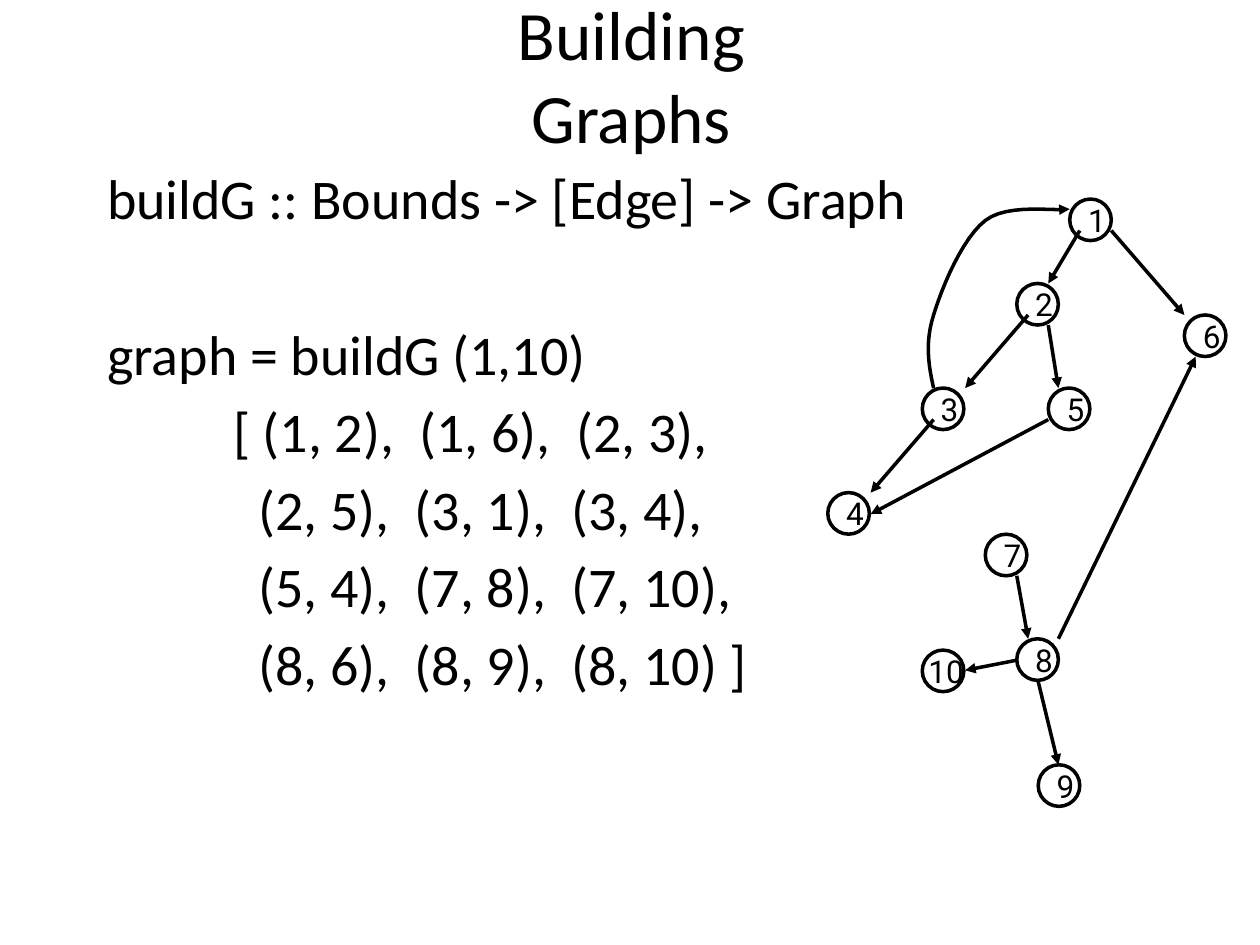
from pptx import Presentation
from pptx import util as u
from pptx.dml.color import RGBColor
from pptx.enum import shapes, text
from pptx.oxml.ns import qn
from lxml import etree

BLACK = RGBColor(0, 0, 0)
DIAMETER = 0.33
CURVE_STEPS = 12


def style_font(paragraph, name, size):
    for run in paragraph.runs:
        run.font.name = name
        run.font.size = u.Pt(size)
        run.font.color.rgb = BLACK


def style_arrow(edge):
    edge.line.color.rgb = BLACK
    edge.line.width = u.Pt(2)
    etree.SubElement(edge.line._get_or_add_ln(), qn("a:tailEnd"), type="triangle")


deck = Presentation()
deck.slide_width, deck.slide_height = u.Inches(10), u.Inches(7.5)
slide = deck.slides.add_slide(deck.slide_layouts[1])

heading = slide.shapes.title
heading.left, heading.top = u.Inches(3.17), u.Inches(0.33)
heading.width, heading.height = u.Inches(3.68), u.Inches(0.52)
heading.text_frame.text = "Building Graphs"
heading.text_frame.auto_size = text.MSO_AUTO_SIZE.NONE
heading.text_frame.vertical_anchor = text.MSO_ANCHOR.MIDDLE
heading.text_frame.margin_left = heading.text_frame.margin_right = u.Inches(0.2)
heading.text_frame.paragraphs[0].alignment = text.PP_ALIGN.CENTER
style_font(heading.text_frame.paragraphs[0], "Calibri", 39.6)

code = slide.placeholders[1]
code.left, code.top = u.Inches(0.75), u.Inches(1.25)
code.width, code.height = u.Inches(7.82), u.Inches(5.24)
code.text_frame.auto_size = text.MSO_AUTO_SIZE.NONE
code_lines = [
    ("buildG :: Bounds -> [Edge] -> Graph", 0, 5.8),
    ("graph = buildG (1,10)", 0, 50.6),
    ("[ (1, 2),  (1, 6),  (2, 3),", 1, 5.8),
    ("(2, 5),  (3, 1),  (3, 4),", 1.2, 5.8),
    ("(5, 4),  (7, 8),  (7, 10),", 1.2, 5.8),
    ("(8, 6),  (8, 9),  (8, 10) ]", 1.2, 5.8),
]
code.text_frame.text = "\n".join(line for line, _, _ in code_lines)
for paragraph, (_, indent, gap) in zip(code.text_frame.paragraphs, code_lines):
    paragraph.space_before = u.Pt(gap)
    style_font(paragraph, "Calibri", 32)
    properties = paragraph._p.get_or_add_pPr()
    properties.set("marL", str(u.Inches(indent)))
    properties.set("indent", "0")
    etree.SubElement(properties, qn("a:buNone"))

graph = slide.shapes.add_group_shape()

vertices = {
    1: (8.49, 1.58), 2: (8.07, 2.25), 5: (8.32, 3.08), 6: (9.4, 2.5),
    4: (6.57, 3.91), 7: (7.82, 4.24), 8: (8.07, 5.07), 9: (8.24, 6.07),
    10: (7.32, 5.16), 3: (7.32, 3.08),
}
for number, (left, top) in vertices.items():
    vertex = graph.shapes.add_shape(
        shapes.MSO_SHAPE.OVAL, u.Inches(left), u.Inches(top),
        u.Inches(DIAMETER), u.Inches(DIAMETER))
    vertex.shadow.inherit = False
    vertex.fill.background()
    vertex.line.color.rgb = BLACK
    vertex.line.width = u.Pt(2)
    label = vertex.text_frame
    label.text = str(number)
    label.word_wrap = False
    label.vertical_anchor = text.MSO_ANCHOR.MIDDLE
    if number == 10:
        label.margin_left = 0
    label.paragraphs[0].alignment = text.PP_ALIGN.LEFT
    properties = label.paragraphs[0]._p.get_or_add_pPr()
    properties.set("marL", str(u.Inches(0.31)))
    properties.set("indent", str(u.Inches(-0.31)))
    style_font(label.paragraphs[0], "Roboto", 18)

edges = [
    (8.57, 1.83, 8.32, 2.25), (8.82, 1.83, 9.4, 2.5),
    (8.16, 2.5, 7.66, 3.08), (8.32, 2.58, 8.4, 3.08),
    (7.41, 3.33, 6.91, 3.91), (8.32, 3.33, 6.91, 4.08),
    (8.07, 4.57, 8.16, 5.07), (8.4, 5.07, 9.49, 2.83),
    (8.24, 5.41, 8.4, 6.07), (8.07, 5.24, 7.66, 5.32),
]
for ends in edges:
    edge = graph.shapes.add_connector(
        shapes.MSO_CONNECTOR.STRAIGHT, *[u.Inches(value) for value in ends])
    style_arrow(edge)
    etree.SubElement(edge._element.spPr, qn("a:effectLst"))

bends = [
    ((7.41, 3.08), (7.37, 2.9), (7.34, 2.72), (7.41, 2.5)),
    ((7.41, 2.5), (7.48, 2.27), (7.64, 1.89), (7.82, 1.75)),
    ((7.82, 1.75), (8, 1.61), (8.38, 1.68), (8.49, 1.66)),
]
curve_points = []
for bend in bends:
    for step in range(1, CURVE_STEPS + 1):
        t = step / CURVE_STEPS
        weights = ((1 - t) ** 3, 3 * t * (1 - t) ** 2, 3 * t ** 2 * (1 - t), t ** 3)
        curve_points.append(tuple(
            u.Inches(sum(weight * point[axis] for weight, point in zip(weights, bend)))
            for axis in (0, 1)))
outline = graph.shapes.build_freeform(u.Inches(7.41), u.Inches(3.08))
outline.add_line_segments(curve_points, close=False)
back_edge = outline.convert_to_shape()
back_edge.shadow.inherit = False
back_edge.fill.background()
style_arrow(back_edge)

deck.save("out.pptx")
